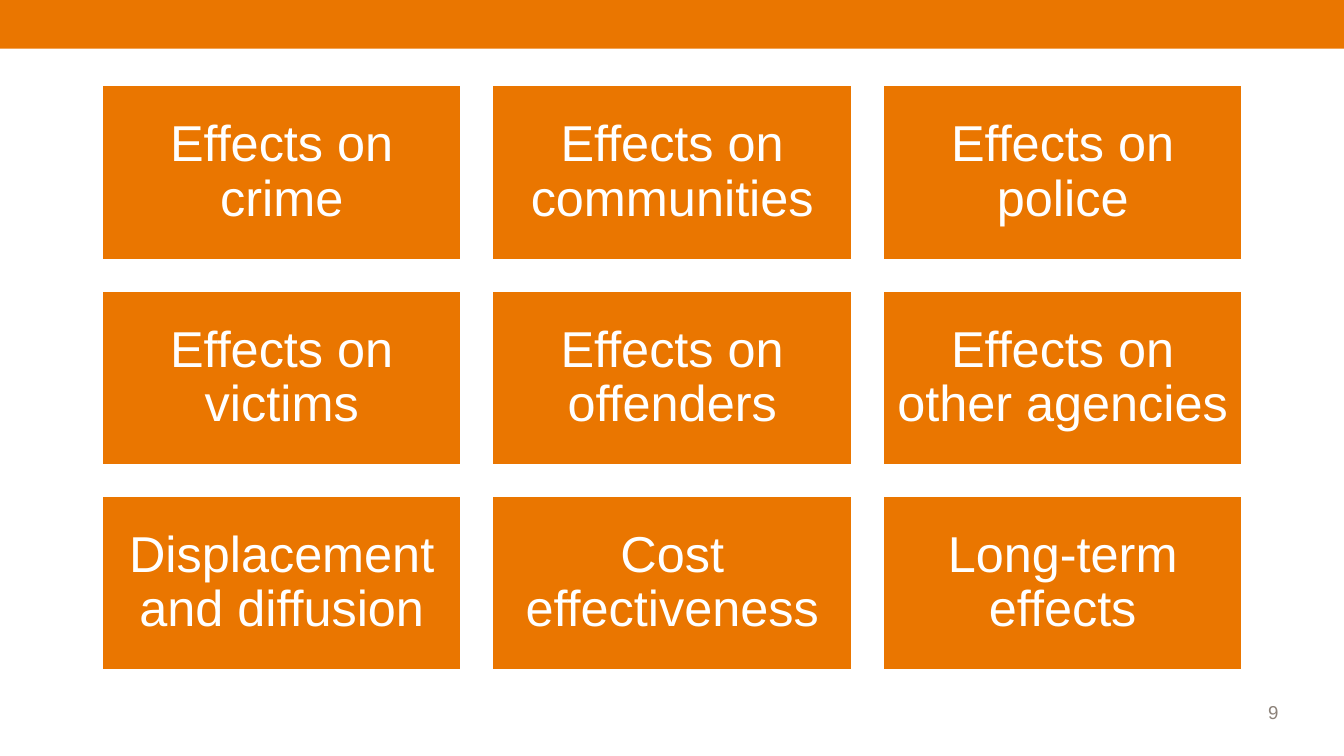
import dataclasses

import pptx
import pptx.dml.color
import pptx.enum.shapes
import pptx.enum.text
import pptx.util


@dataclasses.dataclass(frozen=True)
class Theme:
    orange: str = "EA7600"
    white: str = "FFFFFF"
    gray: str = "8C8279"
    font: str = "Arial"
    tile_size: float = 27
    number_size: float = 10


theme = Theme()
Cm = pptx.util.Cm
Pt = pptx.util.Pt
Color = pptx.dml.color.RGBColor.from_string


def add_rectangle(slide, left, top, width, height):
    shape = slide.shapes.add_shape(
        pptx.enum.shapes.MSO_SHAPE.RECTANGLE, Cm(left), Cm(top), Cm(width), Cm(height)
    )
    shape.shadow.inherit = False
    shape.fill.solid()
    shape.fill.fore_color.rgb = Color(theme.orange)
    return shape


def write_text(shape, text, size, color, alignment, anchor):
    frame = shape.text_frame
    frame.word_wrap = True
    frame.vertical_anchor = anchor
    paragraph = frame.paragraphs[0]
    paragraph.alignment = alignment
    run = paragraph.add_run()
    run.text = text
    run.font.name = theme.font
    run.font.size = Pt(size)
    run.font.color.rgb = Color(color)
    return paragraph


presentation = pptx.Presentation()
presentation.slide_width = Cm(25.4)
presentation.slide_height = Cm(14.29)
slide = presentation.slides.add_slide(presentation.slide_layouts[6])

top_bar = add_rectangle(slide, 0, 0, 25.4, 0.92)
top_bar.line.fill.background()

effects = [
    ["Effects on crime", "Effects on communities", "Effects on police"],
    ["Effects on victims", "Effects on offenders", "Effects on other agencies"],
    ["Displacement and diffusion", "Cost effectiveness", "Long-term effects"],
]
grid_left, grid_top = 1.91, 1.6
tile_width, tile_height, gap = 6.83, 3.33, 0.55

for row, labels in enumerate(effects):
    for column, label in enumerate(labels):
        tile = add_rectangle(
            slide,
            grid_left + column * (tile_width + gap),
            grid_top + row * (tile_height + gap),
            tile_width,
            tile_height,
        )
        tile.line.color.rgb = Color(theme.white)
        tile.line.width = Pt(2)
        frame = tile.text_frame
        frame.margin_left = frame.margin_right = Cm(0.25)
        frame.margin_top = frame.margin_bottom = Cm(0.27)
        paragraph = write_text(
            tile, label, theme.tile_size, theme.white,
            pptx.enum.text.PP_ALIGN.CENTER, pptx.enum.text.MSO_ANCHOR.MIDDLE,
        )
        paragraph.line_spacing = 0.9

slide_number = slide.shapes.add_textbox(Cm(22.4), Cm(12.67), Cm(2.01), Cm(1.12))
write_text(
    slide_number, "9", theme.number_size, theme.gray,
    pptx.enum.text.PP_ALIGN.RIGHT, pptx.enum.text.MSO_ANCHOR.BOTTOM,
)

presentation.save("out.pptx")
